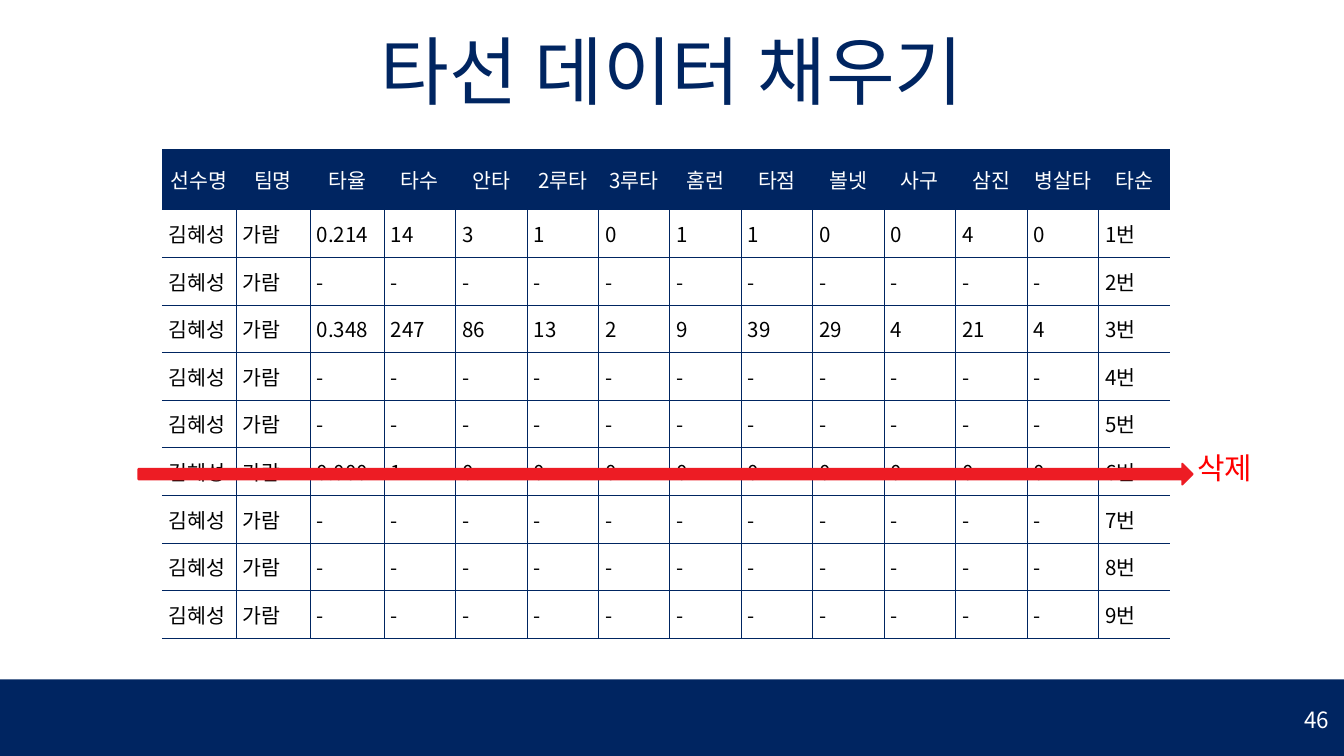
"""Build the batting-order slide with its table of results by batting position."""
from lxml.etree import SubElement
from pptx import Presentation
from pptx.dml.color import RGBColor
from pptx.enum.shapes import MSO_SHAPE
from pptx.enum.text import MSO_ANCHOR, MSO_AUTO_SIZE, PP_ALIGN
from pptx.oxml.ns import qn
from pptx.util import Cm, Pt

FONT = "Noto Sans CJK KR"
NAVY = RGBColor(0x00, 0x25, 0x61)
WHITE = RGBColor(0xFF, 0xFF, 0xFF)
BLACK = RGBColor(0x00, 0x00, 0x00)
RED = RGBColor(0xFF, 0x00, 0x00)
ARROW_RED = RGBColor(0xED, 0x1C, 0x24)

TITLE = "타선 데이터 채우기"
DELETE_LABEL = "삭제"
PAGE = "46"
PLAYER, TEAM = "김혜성", "가람"
HEADERS = ["선수명", "팀명", "타율", "타수", "안타", "2루타", "3루타",
           "홈런", "타점", "볼넷", "사구", "삼진", "병살타", "타순"]
STATS = {
    1: ["0.214", "14", "3", "1", "0", "1", "1", "0", "0", "4", "0"],
    3: ["0.348", "247", "86", "13", "2", "9", "39", "29", "4", "21", "4"],
    6: ["0.000", "1"] + ["0"] * 9,
}
NO_STATS = ["-"] * 11
ROWS = [HEADERS] + [[PLAYER, TEAM, *STATS.get(n, NO_STATS), f"{n}번"]
                    for n in range(1, 10)]

COL_WIDTHS = [2.8] * 3 + [2.7] * 11
ROW_HEIGHTS = [2.29] + [1.8] * 9


def write(tf, text, size, color, align, spacing=None):
    p = tf.paragraphs[0]
    p.text = text
    p.alignment = align
    if spacing:
        p.line_spacing = spacing
    p.font.size = Pt(size)
    p.font.name = FONT
    p.font.color.rgb = color
    SubElement(p._p.pPr.find(qn("a:defRPr")), qn("a:ea"), typeface=FONT)


def set_box(sp, box, anchor):
    sp.left, sp.top, sp.width, sp.height = map(Cm, box)
    tf = sp.text_frame
    tf.word_wrap = True
    tf.auto_size = MSO_AUTO_SIZE.NONE
    tf.vertical_anchor = anchor
    tf.margin_left = tf.margin_right = tf.margin_top = tf.margin_bottom = Cm(0.25)
    return tf


def add_text(slide, box, anchor, *style):
    sp = slide.shapes.add_textbox(*map(Cm, box))
    write(set_box(sp, box, anchor), *style)


def add_block(slide, kind, box, color, line_width=0):
    sp = slide.shapes.add_shape(kind, *map(Cm, box))
    sp.shadow.inherit = False
    sp.fill.solid()
    sp.fill.fore_color.rgb = color
    if line_width:
        sp.line.color.rgb = color
        sp.line.width = Pt(line_width)
    else:
        sp.line.fill.background()


def set_borders(cell, sides):
    tc_pr = cell._tc.get_or_add_tcPr()
    for side in "LRTB":
        ln = SubElement(tc_pr, qn(f"a:ln{side}"), w=str(Pt(1)))
        if side in sides:
            fill = SubElement(ln, qn("a:solidFill"))
            SubElement(fill, qn("a:srgbClr"), val=str(NAVY))
        else:
            SubElement(ln, qn("a:noFill"))


def add_stats_table(slide, left, top):
    frame = slide.shapes.add_table(len(ROWS), len(HEADERS), Cm(left), Cm(top),
                                   Cm(sum(COL_WIDTHS)), Cm(sum(ROW_HEIGHTS)))
    table = frame.table
    for column, width in zip(table.columns, COL_WIDTHS):
        column.width = Cm(width)
    last = len(HEADERS) - 1
    for i, (values, height) in enumerate(zip(ROWS, ROW_HEIGHTS)):
        table.rows[i].height = Cm(height)
        header = i == 0
        for j, value in enumerate(values):
            cell = table.cell(i, j)
            sides = "B" if header else "TB" + "L" * (j > 0) + "R" * (j < last)
            set_borders(cell, sides)
            cell.fill.solid()
            cell.fill.fore_color.rgb = NAVY if header else WHITE
            cell.vertical_anchor = MSO_ANCHOR.MIDDLE
            write(cell.text_frame, value, 22, WHITE if header else BLACK,
                  PP_ALIGN.CENTER if header else PP_ALIGN.LEFT)


def main():
    prs = Presentation()
    prs.slide_width, prs.slide_height = Cm(50.8), Cm(28.58)
    slide = prs.slides.add_slide(prs.slide_layouts[5])

    add_block(slide, MSO_SHAPE.RECTANGLE, (0, 25.68, 50.8, 2.97), NAVY)
    tf = set_box(slide.shapes.title, (7.42, 1.07, 35.97, 4.19), MSO_ANCHOR.TOP)
    write(tf, TITLE, 80, NAVY, PP_ALIGN.CENTER, 0.9)
    add_stats_table(slide, 6.12, 5.64)
    add_block(slide, MSO_SHAPE.RIGHT_ARROW, (5.23, 17.53, 39.85, 0.79), ARROW_RED, 2)
    add_text(slide, (42.88, 16.92, 6.83, 2.08), MSO_ANCHOR.TOP,
             DELETE_LABEL, 32, RED, PP_ALIGN.CENTER, 0.9)
    add_text(slide, (44.65, 26.11, 5.84, 2.16), MSO_ANCHOR.MIDDLE,
             PAGE, 24, WHITE, PP_ALIGN.RIGHT)

    prs.save("out.pptx")


if __name__ == "__main__":
    main()
